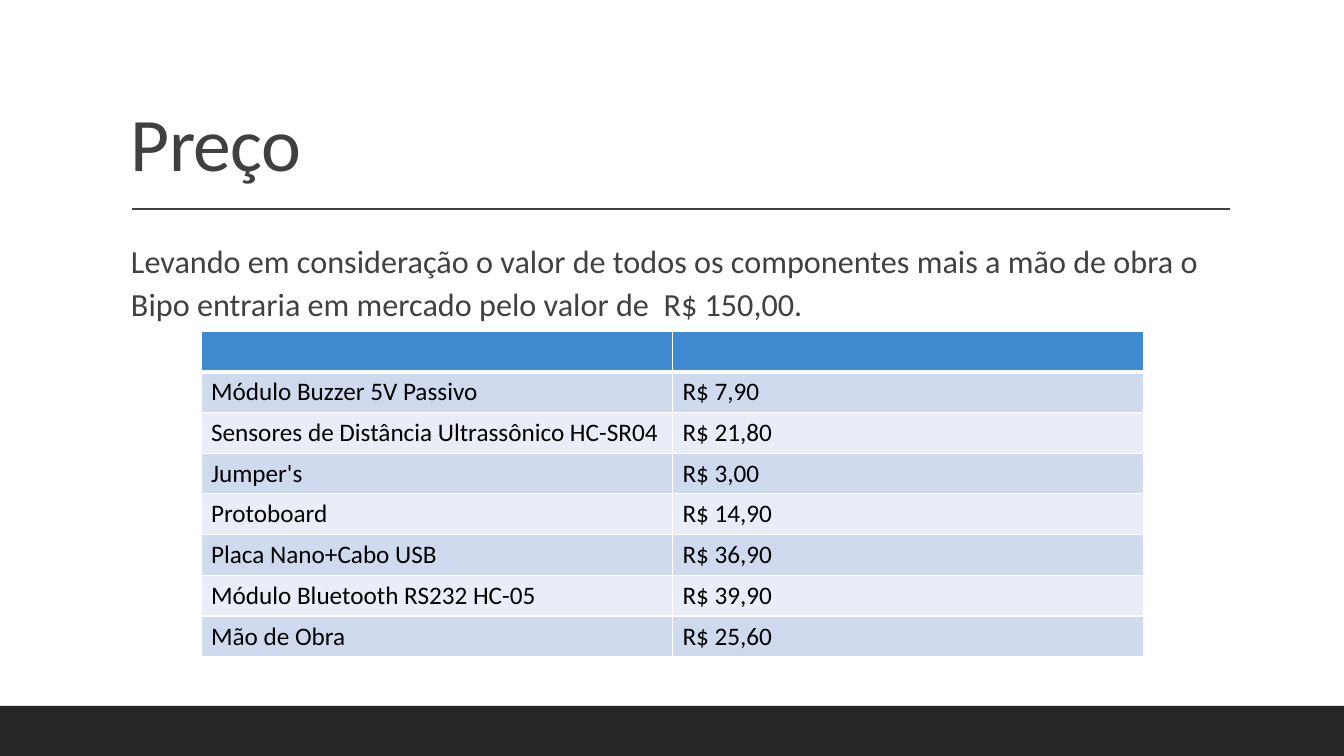
from lxml import etree
from pptx import Presentation
from pptx.dml.color import RGBColor
from pptx.enum import shapes, text
from pptx.oxml.ns import qn
from pptx.util import Pt

TITLE = "Preço"
BODY = ("Levando em consideração o valor de todos os componentes mais a mão de obra o "
        "Bipo entraria em mercado pelo valor de  R$ 150,00.")
PRICES = [
    ("", ""),
    ("Módulo Buzzer 5V Passivo", "R$ 7,90"),
    ("Sensores de Distância Ultrassônico HC-SR04", "R$ 21,80"),
    ("Jumper's", "R$ 3,00"),
    ("Protoboard", "R$ 14,90"),
    ("Placa Nano+Cabo USB", "R$ 36,90"),
    ("Módulo Bluetooth RS232 HC-05", "R$ 39,90"),
    ("Mão de Obra", "R$ 25,60"),
]
HUES = {"bar": "262626", "ink": "404040", "cell": "000000", "edge": "FFFFFF",
        "head": "3F89D1", "odd": "CFDAEE", "even": "E8EDF7"}
FONT = "Calibri"
SCALE = 914400 / 100.8


def px(*vals):
    return [round(v * SCALE) for v in vals]


def hue(name):
    return RGBColor.from_string(HUES[name])


def apply(item, form):
    for key, val in form.items():
        setattr(item, key, val)


def write(par, words, size, ink):
    run = par.add_run()
    run.text = words
    apply(run.font, {"size": Pt(size), "name": FONT})
    run.font.color.rgb = hue(ink)
    return run


def add_text(box, words, size, frame, form):
    area = slide.shapes.add_textbox(*px(*box)).text_frame
    apply(area, {"word_wrap": True, **frame})
    par = area.paragraphs[0]
    apply(par, form)
    return par, write(par, words, size, "ink")


def add_edge(cell, side, width):
    line = etree.SubElement(cell._tc.get_or_add_tcPr(), qn("a:ln" + side), w=str(Pt(width)))
    fill = etree.SubElement(line, qn("a:solidFill"))
    etree.SubElement(fill, qn("a:srgbClr"), val=HUES["edge"])


deck = Presentation()
wide, high = px(1344, 756)
apply(deck, {"slide_width": wide, "slide_height": high})
slide = deck.slides.add_slide(deck.slide_layouts[6])

bar = slide.shapes.add_shape(shapes.MSO_SHAPE.RECTANGLE, *px(0, 706, 1344, 50))
bar.shadow.inherit = False
bar.fill.solid()
bar.fill.fore_color.rgb = hue("bar")
bar.line.fill.background()

rule = slide.shapes.add_connector(shapes.MSO_CONNECTOR.STRAIGHT, *px(132, 209, 1230, 209))
rule.line.color.rgb = hue("ink")
rule.line.width = Pt(1)
etree.SubElement(rule._element.spPr, qn("a:effectLst"))

par, run = add_text((121, 31, 1109, 160), TITLE, 54,
                    {"vertical_anchor": text.MSO_ANCHOR.BOTTOM}, {"line_spacing": 0.8})
run._r.get_or_add_rPr().set("spc", "-50")

par, run = add_text((121, 233, 1109, 414), BODY, 23, {"margin_left": 0, "margin_right": 0},
                    {"line_spacing": 1.1, "space_before": Pt(12), "space_after": Pt(2)})
par._p.get_or_add_pPr().set("marL", str(px(10)[0]))

rows, cols = len(PRICES), len(PRICES[0])
grid = slide.shapes.add_table(rows, cols, *px(201, 331, 943, 326)).table
for r, pair in enumerate(PRICES):
    shade = "head" if r == 0 else "odd" if r % 2 else "even"
    for c, words in enumerate(pair):
        cell = grid.cell(r, c)
        for side in "LRTB":
            thick = (r, side) in ((0, "B"), (1, "T"))
            add_edge(cell, side, 3 if thick else 1)
        cell.fill.solid()
        cell.fill.fore_color.rgb = hue(shade)
        if words:
            write(cell.text_frame.paragraphs[0], words, 18, "cell")

deck.save("out.pptx")
